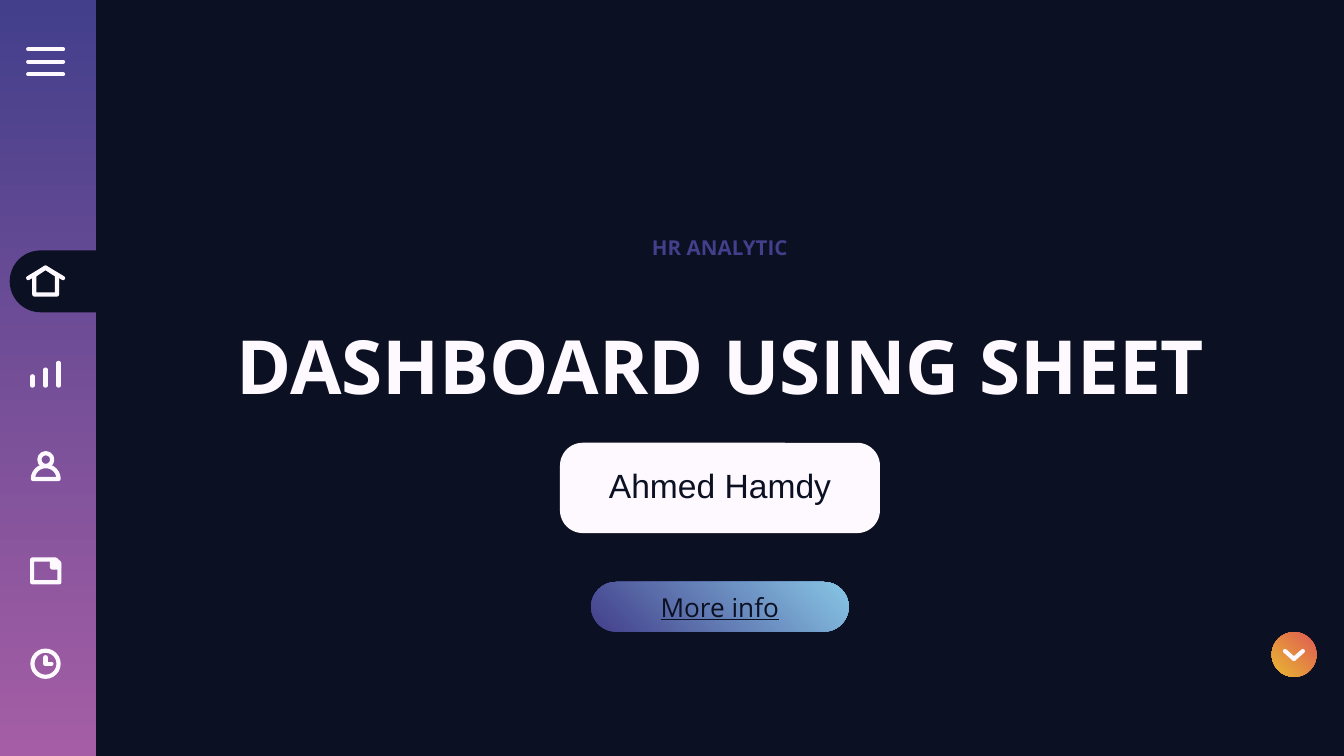
from dataclasses import dataclass
from typing import NamedTuple

from lxml.etree import SubElement
from pptx import Presentation
from pptx.dml.color import RGBColor
from pptx.dml.fill import FillFormat
from pptx.dml.line import LineFormat
from pptx.enum.shapes import MSO_CONNECTOR, MSO_SHAPE
from pptx.enum.text import MSO_ANCHOR, MSO_AUTO_SIZE, PP_ALIGN
from pptx.oxml.ns import qn
from pptx.shapes.autoshape import Shape
from pptx.shapes.shapetree import GroupShapes, SlideShapes
from pptx.text.text import TextFrame
from pptx.util import Pt


@dataclass(frozen=True)
class Theme:
    night: RGBColor = RGBColor(0x0B, 0x10, 0x22)
    light: RGBColor = RGBColor(0xFD, 0xF9, 0xFF)
    indigo: RGBColor = RGBColor(0x43, 0x3F, 0x8B)
    purple: RGBColor = RGBColor(0xA5, 0x5E, 0xA5)
    sky: RGBColor = RGBColor(0x87, 0xC5, 0xE5)
    red: RGBColor = RGBColor(0xDF, 0x59, 0x53)
    yellow: RGBColor = RGBColor(0xE8, 0xB8, 0x32)
    font: str = "Open Sans"
    name_font: str = "Arial"
    title_size: float = 40
    name_size: float = 18
    button_size: float = 14
    label_size: float = 11
    stroke: float = 2.25


THEME = Theme()


class Box(NamedTuple):
    left: float
    top: float
    width: float
    height: float

    def lengths(self) -> list[Pt]:
        return [Pt(value) for value in self]


class Point(NamedTuple):
    x: float
    y: float


class Gradient(NamedTuple):
    start: RGBColor
    end: RGBColor
    angle: float  # counter-clockwise degrees


class Outline(NamedTuple):
    kind: MSO_SHAPE
    box: Box
    rotation: float = 0
    adjustments: tuple[float, ...] = ()


@dataclass(frozen=True)
class Icon:
    strokes: tuple[tuple[Point, Point], ...] = ()
    outlines: tuple[Outline, ...] = ()
    open_polygon: tuple[Point, ...] = ()
    solid_polygon: tuple[Point, ...] = ()


AXIS = 24.4  # centre line of the sidebar icons
ICON_LEFT, ICON_RIGHT = 15.1, 33.8
ROOF = Point(AXIS, 143.4)
CLOCK_CENTRE = Point(AXIS, 355.6)
CHEVRON_TIP = Point(693.2, 353)

MENU = Icon(strokes=tuple(
    (Point(ICON_LEFT, y), Point(ICON_RIGHT, y)) for y in (26.4, 33.1, 39.8)))
HOME = Icon(
    strokes=tuple((Point(x, 149), ROOF) for x in (ICON_LEFT, ICON_RIGHT)),
    open_polygon=(Point(18.4, 147.5), Point(18.4, 157.8), Point(30.6, 157.8),
                  Point(30.6, 147.5), ROOF))
BARS = Icon(strokes=tuple(
    (Point(AXIS + 7 * step, 201.6 - 3.6 * step - 3.6), Point(AXIS + 7 * step, 206.6))
    for step in (-1, 0, 1)))
PERSON = Icon(outlines=(
    Outline(MSO_SHAPE.OVAL, Box(21.1, 242.8, 6.9, 6.9)),
    Outline(MSO_SHAPE.PIE, Box(17.6, 249.7, 13.8, 13.8), 90, (54, 162))))
NOTE = Icon(
    outlines=(Outline(MSO_SHAPE.SNIP_1_RECTANGLE, Box(17.2, 299.8, 14.6, 12.2), 0, (0.167,)),),
    solid_polygon=(Point(27.9, 300), Point(30, 300), Point(31.7, 302.1),
                   Point(31.7, 304), Point(27.9, 304)))
CLOCK = Icon(
    strokes=((Point(AXIS, 352.1), CLOCK_CENTRE), (Point(27.6, 355.6), CLOCK_CENTRE)),
    outlines=(Outline(MSO_SHAPE.OVAL, Box(17.4, 348.6, 14, 14)),))
CHEVRON = Icon(strokes=tuple(
    (CHEVRON_TIP, Point(CHEVRON_TIP.x + dx, 348.8)) for dx in (-4.8, 4.8)))


def paint(fill: FillFormat, paint_with: RGBColor | Gradient | None) -> None:
    if paint_with is None:
        fill.background()
    elif isinstance(paint_with, Gradient):
        fill.gradient()
        fill.gradient_angle = paint_with.angle
        for stop, color in zip(fill.gradient_stops, (paint_with.start, paint_with.end)):
            stop.color.rgb = color
    else:
        fill.solid()
        fill.fore_color.rgb = paint_with


def draw_round_line(line: LineFormat) -> None:
    """Give a line the icon stroke, with round caps and joins."""
    line.color.rgb = THEME.light
    line.width = Pt(THEME.stroke)
    ln = line._get_or_add_ln()
    ln.set("cap", "rnd")
    SubElement(ln, qn("a:round"))


def add_panel(shapes: SlideShapes | GroupShapes, outline: Outline,
              fill: RGBColor | Gradient | None) -> Shape:
    panel = shapes.add_shape(outline.kind, *outline.box.lengths())
    panel.shadow.inherit = False
    panel.rotation = outline.rotation
    for index, value in enumerate(outline.adjustments):
        panel.adjustments[index] = value
    paint(panel.fill, fill)
    panel.line.fill.background()
    return panel


def add_polygon(shapes: GroupShapes, points: tuple[Point, ...], fill: RGBColor | None) -> None:
    corners = [(Pt(point.x), Pt(point.y)) for point in points]
    builder = shapes.build_freeform(*corners[0])
    builder.add_line_segments(corners[1:], close=True)
    polygon = builder.convert_to_shape()
    polygon.shadow.inherit = False
    paint(polygon.fill, fill)
    draw_round_line(polygon.line)


def add_icon(shapes: SlideShapes, icon: Icon) -> None:
    parts = shapes.add_group_shape().shapes
    for begin, end in icon.strokes:
        stroke = parts.add_connector(
            MSO_CONNECTOR.STRAIGHT, Pt(begin.x), Pt(begin.y), Pt(end.x), Pt(end.y))
        draw_round_line(stroke.line)
        SubElement(stroke._element.spPr, qn("a:effectLst"))
    for outline in icon.outlines:
        draw_round_line(add_panel(parts, outline, None).line)
    for points, fill in ((icon.open_polygon, None), (icon.solid_polygon, THEME.light)):
        if points:
            add_polygon(parts, points, fill)


def write(frame: TextFrame, text: str, size: float, color: RGBColor | Gradient,
          font: str = THEME.font, bold: bool = False, underline: bool = False,
          inset: float = 7.2, anchor: MSO_ANCHOR = MSO_ANCHOR.MIDDLE,
          line_spacing: float = 1.0) -> None:
    frame.text = text
    frame.word_wrap = True
    frame.auto_size = MSO_AUTO_SIZE.NONE
    frame.vertical_anchor = anchor
    frame.margin_left = frame.margin_right = Pt(7.2)
    frame.margin_top = frame.margin_bottom = Pt(inset)
    paragraph = frame.paragraphs[0]
    paragraph.alignment = PP_ALIGN.CENTER
    paragraph.space_before = Pt(0)
    paragraph.line_spacing = line_spacing
    run_font = paragraph.runs[0].font
    run_font.name, run_font.size = font, Pt(size)
    run_font.bold, run_font.underline = bold, underline
    paint(run_font.fill, color)


def place(placeholder: Shape, box: Box) -> None:
    """Move a placeholder, and bring it in front of what is drawn so far."""
    placeholder.left, placeholder.top, placeholder.width, placeholder.height = box.lengths()
    placeholder._element.getparent().append(placeholder._element)


def main() -> None:
    presentation = Presentation()
    presentation.slide_width, presentation.slide_height = Pt(720), Pt(405)
    slide = presentation.slides.add_slide(presentation.slide_layouts[0])
    paint(slide.background.fill, THEME.night)
    shapes = slide.shapes
    title, author = shapes.title, slide.placeholders[1]

    add_panel(shapes, Outline(MSO_SHAPE.RECTANGLE, Box(0, 0, 51.4, 405)),
              Gradient(THEME.indigo, THEME.purple, 270))
    add_panel(shapes, Outline(MSO_SHAPE.ROUNDED_RECTANGLE, Box(300, 237.2, 171.4, 48.4),
                              0, (0.253,)), THEME.light)
    add_panel(shapes, Outline(MSO_SHAPE.ROUND_2_SAME_RECTANGLE, Box(14.5, 124.8, 33.2, 51.8),
                              270, (0.5, 0)), THEME.night)

    place(title, Box(78.5, 162, 615, 67))
    write(title.text_frame, "DASHBOARD USING SHEET", THEME.title_size, THEME.light, bold=True)
    place(author, Box(306.5, 241.2, 158.4, 39.6))
    write(author.text_frame, "Ahmed Hamdy", THEME.name_size, THEME.night,
          font=THEME.name_font, line_spacing=0.9)

    button = add_panel(shapes, Outline(MSO_SHAPE.ROUNDED_RECTANGLE, Box(316.7, 311.8, 138, 26.6),
                                       0, (0.5,)), Gradient(THEME.indigo, THEME.sky, 45))
    write(button.text_frame, "More info", THEME.button_size, THEME.night, underline=True)
    add_panel(shapes, Outline(MSO_SHAPE.OVAL, Box(681.3, 338.6, 24, 24), 180),
              Gradient(THEME.red, THEME.yellow, 45))

    label = shapes.add_textbox(*Box(207.4, 122.4, 356.4, 39.6).lengths())
    write(label.text_frame, "HR ANALYTIC", THEME.label_size,
          Gradient(THEME.indigo, THEME.purple, 0), bold=True, inset=3.6, anchor=MSO_ANCHOR.TOP)

    for icon in (MENU, HOME, BARS, PERSON, NOTE, CLOCK, CHEVRON):
        add_icon(shapes, icon)
    presentation.save("out.pptx")


if __name__ == "__main__":
    main()
